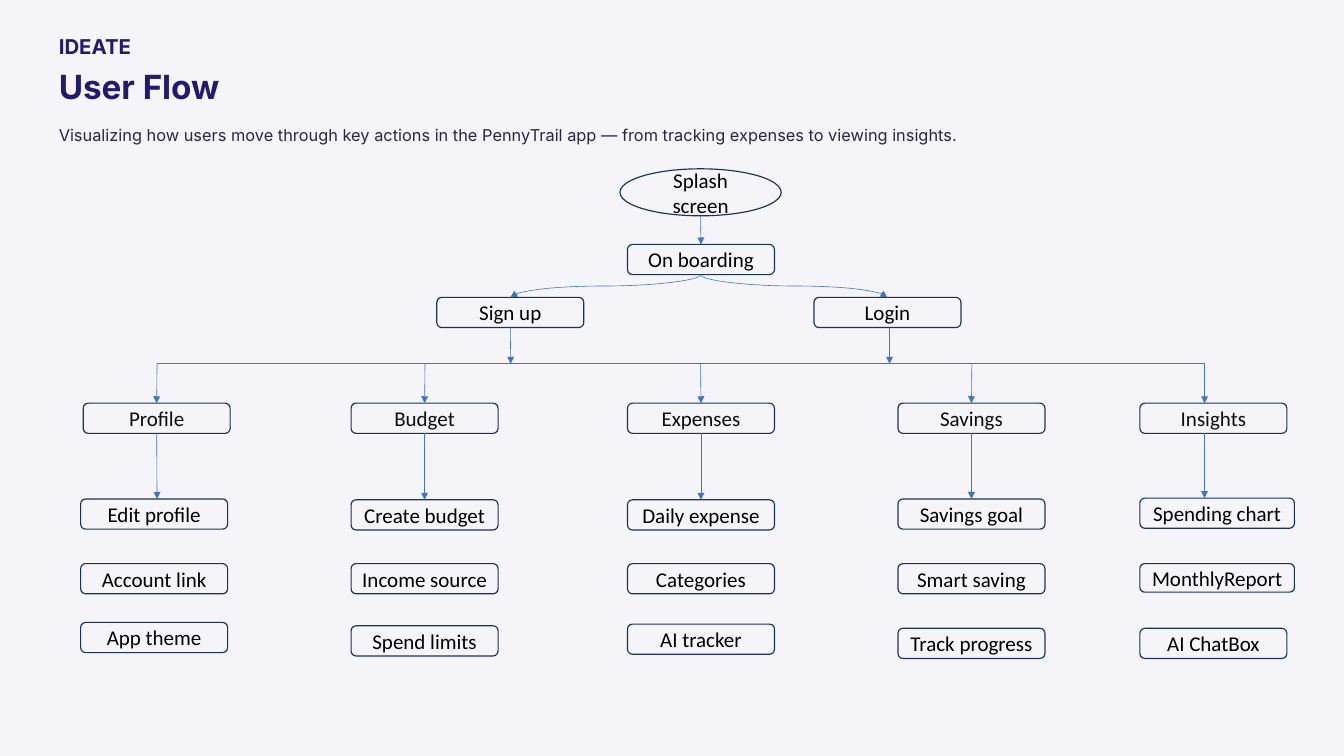
from lxml import etree
from pptx import Presentation
from pptx.dml.color import RGBColor
from pptx.enum.shapes import MSO_CONNECTOR as LINK, MSO_SHAPE as SHAPE
from pptx.enum.text import MSO_ANCHOR, PP_ALIGN
from pptx.oxml.ns import qn
from pptx.util import Inches, Pt

BACKDROP, OUTLINE, ARROW = "F5F4F8", "1E3256", "4472C4"
INDIGO, INK, BLACK, SOFT_BLACK = "231971", "2A2742", "000000", "0D0D0D"

HEADINGS = [
    ("IDEATE", 0.39, 2.49, 0.31, 17.5, 22, INDIGO, True),
    ("User Flow", 0.77, 3.99, 0.5, 28.5, 35.5, INDIGO, True),
    ("Visualizing how users move through key actions in the PennyTrail app"
     " — from tracking expenses to viewing insights.",
     1.41, 14.6, 0.32, 14, 22.5, INK, False),
]
ENTRIES = [("Sign up", 5.2, 6.08), ("Login", 9.69, 10.59)]
SECTIONS = [
    ("Profile", 0.99, 1.87, 0.96,
     [("Edit profile", 5.94), ("Account link", 6.71), ("App theme", 7.41)]),
    ("Budget", 4.18, 5.06, 4.18,
     [("Create budget", 5.95), ("Income source", 6.71), ("Spend limits", 7.45)]),
    ("Expenses", 7.47, 8.34, 7.47,
     [("Daily expense", 5.95), ("Categories", 6.71), ("AI tracker", 7.43)]),
    ("Savings", 10.69, 11.57, 10.69,
     [("Savings goal", 5.94), ("Smart saving", 6.71), ("Track progress", 7.48)]),
    ("Insights", 13.57, 14.34, 13.57,
     [("Spending chart", 5.93), ("MonthlyReport", 6.71), ("AI ChatBox", 7.48)]),
]
WIDE_STEPS = {"Spending chart": (1.84, 0.36), "MonthlyReport": (1.84, 0.34)}
STEP_W, STEP_H = 1.75, 0.36
SPLASH_Y, ONBOARDING_Y, ENTRY_Y, RAIL_Y, SECTION_Y = 2.01, 2.91, 3.54, 4.33, 4.8
TRUNK_X = 8.34
TOP, BOTTOM = 0, 2

prs = Presentation()
prs.slide_width, prs.slide_height = Inches(16), Inches(9)
slide = prs.slides.add_slide(prs.slide_layouts[6])


def paint(color_format, value):
    color_format.rgb = RGBColor.from_string(value)


def style(paragraph, font, size, color, bold=False):
    for run in paragraph.runs:
        run.font.name, run.font.size, run.font.bold = font, Pt(size), bold
        paint(run.font.color, color)


def heading(words, y, w, h, size, spacing, color, bold):
    frame = slide.shapes.add_textbox(*map(Inches, (0.7, y, w, h))).text_frame
    frame.margin_left = frame.margin_right = 0
    frame.margin_top = frame.margin_bottom = 0
    frame.word_wrap = False
    frame.text = words
    frame.paragraphs[0].line_spacing = Pt(spacing)
    style(frame.paragraphs[0], "Inter", size, color, bold)


def step(words, x, y, w=STEP_W, h=STEP_H, kind=SHAPE.ROUNDED_RECTANGLE, color=BLACK):
    box = slide.shapes.add_shape(kind, *map(Inches, (x, y, w, h)))
    box.shadow.inherit = False
    box.fill.background()
    paint(box.line.color, OUTLINE)
    box.line.width = Pt(1)
    frame = box.text_frame
    frame.word_wrap = True
    frame.vertical_anchor = MSO_ANCHOR.MIDDLE
    frame.text = words
    frame.paragraphs[0].alignment = PP_ALIGN.CENTER
    style(frame.paragraphs[0], "Calibri", 18, color)
    return box


def link(x1, y1, x2, y2, kind=LINK.STRAIGHT, arrow=True):
    line = slide.shapes.add_connector(kind, *map(Inches, (x1, y1, x2, y2)))
    paint(line.line.color, ARROW)
    line.line.width = Pt(0.5)
    if arrow:
        etree.SubElement(line.line._get_or_add_ln(), qn("a:tailEnd"), type="triangle")
    etree.SubElement(line._element.spPr, qn("a:effectLst"))
    return line


def is_centred(box, x):
    return abs(box.left + box.width / 2 - Inches(x)) < Inches(0.02)


def drop(x, y1, y2, source=None, target=None):
    line = link(x, y1, x, y2)
    if source and is_centred(source, x):
        line.begin_connect(source, BOTTOM)
    if target and is_centred(target, x):
        line.end_connect(target, TOP)


def branch(x1, y1, x2, y2):
    side = 1 if x2 > x1 else -1
    mid_x, mid_y = (x1 + x2) / 2, (y1 + y2) / 2
    half_w, half_h = side * (y2 - y1) / 2, abs(x2 - x1) / 2
    curve = link(mid_x + half_w, mid_y - half_h, mid_x - half_w, mid_y + half_h, LINK.CURVE)
    turn = 270 if side > 0 else 90
    curve._element.spPr.find(qn("a:xfrm")).set("rot", str(turn * 60000))


paint_background = slide.background.fill
paint_background.solid()
paint(paint_background.fore_color, BACKDROP)

for item in HEADINGS:
    heading(*item)

splash = step("Splash screen", 7.38, SPLASH_Y, 1.92, 0.56, SHAPE.OVAL)
onboarding = step("On boarding", 7.47, ONBOARDING_Y)
drop(TRUNK_X, SPLASH_Y + 0.56, ONBOARDING_Y, splash, onboarding)

for name, x, arrow_x in ENTRIES:
    entry = step(name, x, ENTRY_Y)
    branch(TRUNK_X, ONBOARDING_Y + STEP_H, x + STEP_W / 2, ENTRY_Y)
    drop(arrow_x, ENTRY_Y + STEP_H, RAIL_Y, entry)

link(SECTIONS[0][2], RAIL_Y, SECTIONS[-1][2], RAIL_Y, arrow=False)
for name, x, arrow_x, steps_x, steps in SECTIONS:
    section = step(name, x, SECTION_Y, color=SOFT_BLACK)
    boxes = [step(words, steps_x, y, *WIDE_STEPS.get(words, (STEP_W, STEP_H)))
             for words, y in steps]
    drop(arrow_x, RAIL_Y, SECTION_Y, target=section)
    drop(arrow_x, SECTION_Y + STEP_H, steps[0][1], section, boxes[0])

prs.save("out.pptx")
